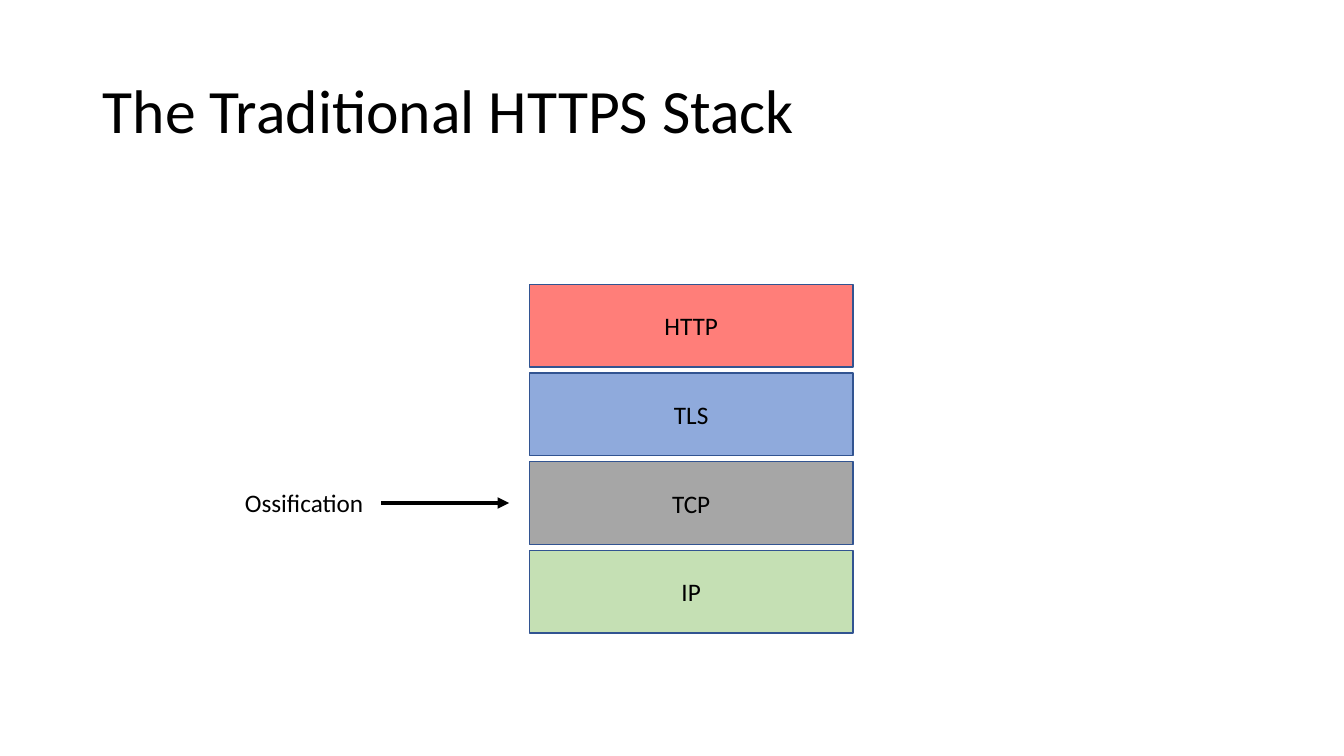
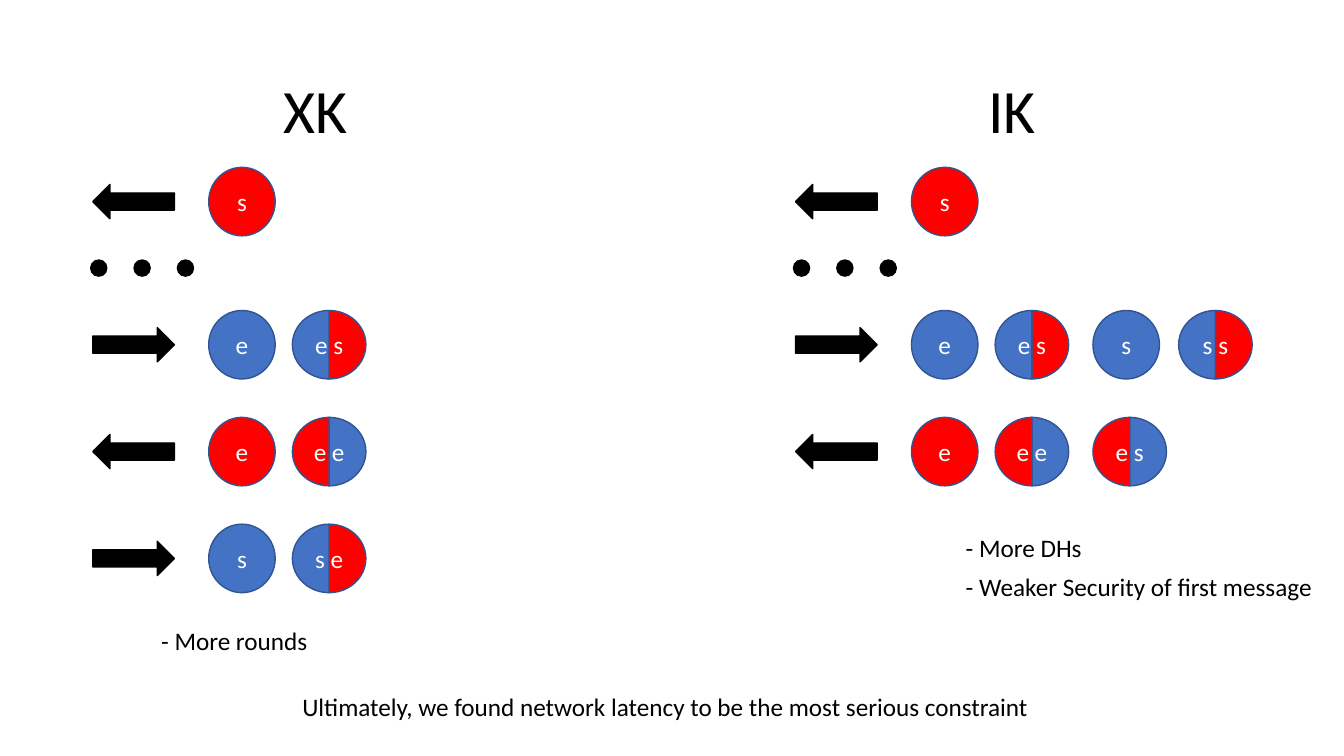
from dataclasses import dataclass

from lxml import etree
from pptx import Presentation, util as u
from pptx.dml.color import RGBColor
from pptx.enum import shapes, text
from pptx.oxml.ns import qn

SHAPE = shapes.MSO_SHAPE
ALIGN = text.PP_ALIGN


@dataclass(frozen=True)
class Theme:
    font: str = "Calibri"
    title_size: int = 44
    body_size: int = 18
    ink: str = "000000"
    paper: str = "FFFFFF"
    outline: str = "325491"
    blue: str = "4472C4"
    red: str = "FF0000"
    http: str = "FF7E79"
    tls: str = "8FAADC"
    tcp: str = "A6A6A6"
    ip: str = "C5E0B4"


class Deck:
    """Draw themed elements, measured in px at 100 to the inch, on the current slide."""

    EMU_PER_PX = 9144
    TITLE_BOX = (92, 40, 1150, 145)
    TOKEN_WIDTH, TOKEN_HEIGHT = 66, 68
    PAIR_WIDTH = 73
    LEFT_HALF, RIGHT_HALF = (54, 162), (162, 54)

    def __init__(self, theme):
        self.theme = theme
        self.deck = Presentation()
        self.deck.slide_width, self.deck.slide_height = self.emu(1333, 750)
        self.page = None

    def emu(self, *lengths):
        return [u.Emu(length * self.EMU_PER_PX) for length in lengths]

    def style(self, para, color, size, align):
        para.alignment = align
        para.font.name = self.theme.font
        para.font.size = u.Pt(size)
        para.font.color.rgb = RGBColor.from_string(color)

    def slide(self, title, tabs=()):
        self.page = self.deck.slides.add_slide(self.deck.slide_layouts[5])
        box = self.page.shapes.title
        box.left, box.top, box.width, box.height = self.emu(*self.TITLE_BOX)
        frame = box.text_frame
        frame.text = title
        frame.auto_size = text.MSO_AUTO_SIZE.NONE
        frame.vertical_anchor = text.MSO_ANCHOR.MIDDLE
        para = frame.paragraphs[0]
        para.line_spacing = 0.9
        self.style(para, self.theme.ink, self.theme.title_size, ALIGN.LEFT)
        if tabs:
            stops = etree.Element(qn("a:tabLst"))
            for position in self.emu(*tabs):
                etree.SubElement(stops, qn("a:tab"), pos=str(position), algn="l")
            para.font._element.addprevious(stops)

    def shape(self, kind, area, fill, line=None, label="", color=None):
        shape = self.page.shapes.add_shape(kind, *self.emu(*area))
        shape.shadow.inherit = False
        shape.fill.solid()
        shape.fill.fore_color.rgb = RGBColor.from_string(fill)
        shape.line.color.rgb = RGBColor.from_string(line or self.theme.outline)
        shape.line.width = u.Pt(1)
        if label:
            frame = shape.text_frame
            frame.text = label
            frame.vertical_anchor = text.MSO_ANCHOR.MIDDLE
            self.style(frame.paragraphs[0], color or self.theme.ink,
                       self.theme.body_size, ALIGN.CENTER)
        return shape

    def note(self, left, top, width, words):
        box = self.page.shapes.add_textbox(*self.emu(left, top, width, 40))
        frame = box.text_frame
        frame.text = words
        frame.word_wrap = False
        self.style(frame.paragraphs[0], self.theme.ink, self.theme.body_size, ALIGN.LEFT)

    def arrow_line(self, start, end):
        line = self.page.shapes.add_connector(
            shapes.MSO_CONNECTOR.STRAIGHT, *self.emu(*start, *end))
        line.line.color.rgb = RGBColor.from_string(self.theme.ink)
        line.line.width = u.Pt(2.75)
        etree.SubElement(line.line._get_or_add_ln(), qn("a:tailEnd"), type="triangle")
        etree.SubElement(line._element.spPr, qn("a:effectLst"))

    def token(self, left, top, label, own, other):
        paper = self.theme.paper
        if len(label) == 1:
            area = (left, top, self.TOKEN_WIDTH, self.TOKEN_HEIGHT)
            self.shape(SHAPE.OVAL, area, own, label=label, color=paper)
            return
        area = (left, top, self.PAIR_WIDTH, self.TOKEN_HEIGHT)
        for angles, fill, words in ((self.RIGHT_HALF, other, ""),
                                    (self.LEFT_HALF, own, label)):
            half = self.shape(SHAPE.PIE, area, fill, label=words, color=paper)
            half.adjustments[0], half.adjustments[1] = angles

    def message(self, left, top, outgoing, labels):
        ink, blue, red = self.theme.ink, self.theme.blue, self.theme.red
        kind = SHAPE.RIGHT_ARROW if outgoing else SHAPE.LEFT_ARROW
        own, other = (blue, red) if outgoing else (red, blue)
        self.shape(kind, (left, top + 17, 81, 34), ink, ink)
        for offset, label in zip((115, 198, 295, 380), labels):
            self.token(left + offset, top, label, own, other)

    def handshake(self, left, rounds):
        ink = self.theme.ink
        self.message(left, 166, False, ["s"])
        for index in range(3):
            self.shape(SHAPE.OVAL, (left - 2 + 43 * index, 258, 16, 16), ink, ink)
        for index, labels in enumerate(rounds):
            self.message(left, 308 + 106 * index, index % 2 == 0, labels)


def stack_slide(deck):
    theme = deck.theme
    deck.slide("The Traditional HTTPS Stack")
    layers = (("HTTP", theme.http), ("TLS", theme.tls), ("TCP", theme.tcp), ("IP", theme.ip))
    for index, (label, fill) in enumerate(layers):
        deck.shape(SHAPE.RECTANGLE, (525, 282 + 88 * index, 321, 82), fill, label=label)
    deck.note(233, 479, 139, "Ossification")
    deck.arrow_line((378, 499), (505, 499))


def handshake_slide(deck):
    deck.slide("\tXK\tIK", tabs=(179, 878))
    deck.handshake(92, (["e", "e s"], ["e", "e e"], ["s", "s e"]))
    deck.handshake(789, (["e", "e s", "s", "s s"], ["e", "e e", "e s"]))
    deck.note(150, 615, 167, "- More rounds")
    deck.note(948, 523, 137, "- More DHs")
    deck.note(948, 562, 363, "- Weaker Security of first message")
    deck.note(290, 681, 748,
              "Ultimately, we found network latency to be the most serious constraint")


def main():
    deck = Deck(Theme())
    stack_slide(deck)
    handshake_slide(deck)
    deck.deck.save("out.pptx")


if __name__ == "__main__":
    main()
